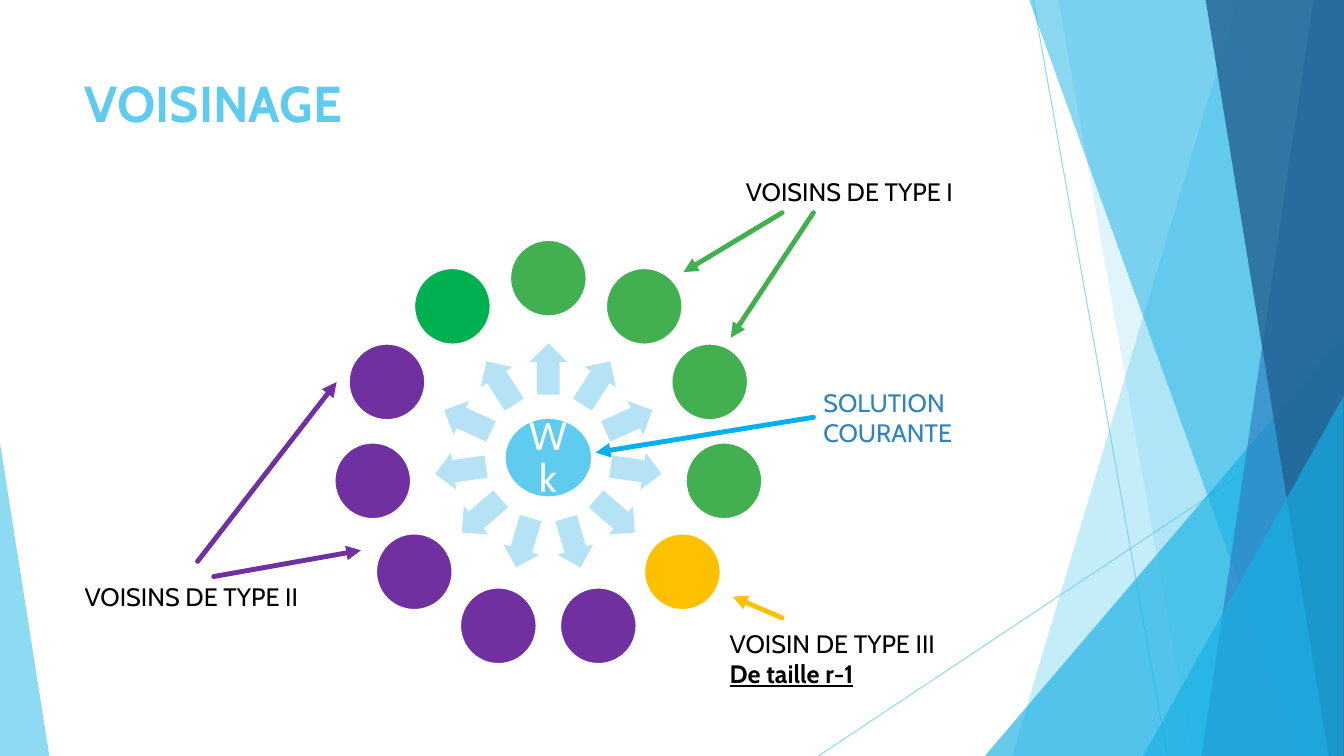
from dataclasses import dataclass
from math import cos, radians, sin

from lxml.etree import SubElement
from pptx import Presentation
from pptx.dml.color import RGBColor
from pptx.enum.shapes import MSO_CONNECTOR, MSO_SHAPE
from pptx.enum.text import MSO_ANCHOR, MSO_AUTO_SIZE, PP_ALIGN
from pptx.oxml.ns import qn
from pptx.shapes.autoshape import Shape
from pptx.slide import Slide
from pptx.text.text import TextFrame, _Paragraph as Paragraph
from pptx.util import Emu, Inches, Pt

FONT = "Cabin"
COLUMNS, ROWS = 133.33, 75
SLIDE_WIDTH, SLIDE_HEIGHT = Inches(13.33), Inches(7.5)
COLORS = {
    "white": "FFFFFF", "black": "000000", "sky": "5FCBEF", "cyan": "17B0E4",
    "blue": "2E83C3", "navy": "226292", "pale": "B6E2F6", "azure": "00B0F0",
    "green": "42B051", "emerald": "00B050", "amber": "FFC000", "purple": "7030A0",
}
Point = tuple[float, float]


@dataclass(frozen=True)
class Pane:
    corners: tuple[Point, ...]
    color: str
    opacity: int


@dataclass(frozen=True)
class Wedge:
    box: tuple[float, float, float, float]
    apex: float
    color: str
    opacity: int


@dataclass(frozen=True)
class Pointer:
    start: Point
    end: Point
    color: str


@dataclass(frozen=True)
class Label:
    box: tuple[float, float, float, float]
    lines: tuple[str, ...]
    color: str = "black"


RAYS = (
    Pointer((102.5, 0), (115.8, ROWS), "sky"),
    Pointer((COLUMNS, 40.3), (81.2, ROWS), "sky"),
)
FACETS = (
    Pane(((122.8, 0), (COLUMNS, 0), (COLUMNS, ROWS), (100.4, ROWS)), "sky", 36),
    Pane(((105, 0), (COLUMNS, 0), (COLUMNS, ROWS), (118.3, ROWS)), "sky", 20),
    Wedge((97.7, 33.3, 35.6, 41.7), 1, "cyan", 66),
    Pane(((102.1, 0), (COLUMNS, 0), (COLUMNS, ROWS), (129.1, ROWS)), "cyan", 50),
    Pane(((130.3, 0), (COLUMNS, 0), (COLUMNS, ROWS), (119.2, ROWS)), "blue", 70),
    Pane(((119.6, 0), (COLUMNS, 0), (COLUMNS, ROWS), (131.8, ROWS)), "navy", 80),
    Wedge((113.4, 39.3, 19.9, 35.7), 1, "cyan", 66),
    Wedge((0, 43.9, 4.9, 31.1), 0, "sky", 70),
)
NEIGHBOURS = ["green"] * 4 + ["amber"] + ["purple"] * 5 + ["emerald"]
LABELS = (
    Label((73, 17, 24.3, 4), ("VOISINS DE TYPE I",)),
    Label((71.4, 61.8, 24.3, 7.1), ("VOISIN DE TYPE III", "De taille r-1")),
    Label((7.4, 57.2, 24.3, 4), ("VOISINS DE TYPE II",)),
    Label((80.7, 37.9, 16.2, 7.1), ("SOLUTION COURANTE",), "blue"),
)
POINTERS = (
    Pointer((77.6, 21.1), (67.8, 27), "green"),
    Pointer((80.7, 21.1), (72.5, 33.5), "green"),
    Pointer((77.6, 61.3), (72.7, 59.2), "amber"),
    Pointer((19.6, 55.7), (33.4, 37.9), "purple"),
    Pointer((21.2, 57.2), (35.8, 54.6), "purple"),
    Pointer((80.7, 41.4), (59.1, 44.9), "azure"),
)


def rgb(name: str) -> RGBColor:
    return RGBColor.from_string(COLORS[name])


def column(count: float) -> Emu:
    return Emu(round(SLIDE_WIDTH * count / COLUMNS))


def row(count: float) -> Emu:
    return Emu(round(SLIDE_HEIGHT * count / ROWS))


def place(left: float, top: float, width: float, height: float) -> tuple[Emu, ...]:
    return column(left), row(top), column(width), row(height)


def set_opacity(shape: Shape, percent: int) -> None:
    for color in shape._element.spPr.iter(qn("a:srgbClr")):
        SubElement(color, qn("a:alpha"), val=str(percent * 1000))


def paint(shape: Shape, color: str, outlined: bool = False) -> None:
    shape.shadow.inherit = False
    shape.fill.solid()
    shape.fill.fore_color.rgb = rgb(color)
    if outlined:
        shape.line.color.rgb = rgb("white")
        shape.line.width = Pt(1.5)
    else:
        shape.line.fill.background()


def write(paragraph: Paragraph, text: str, size: int, color: str,
          bold: bool = False, underline: bool = False) -> None:
    run = paragraph.add_run()
    run.text = text
    run.font.name = FONT
    run.font.size = Pt(size)
    run.font.color.rgb = rgb(color)
    run.font.bold = bold
    run.font.underline = underline


def draw_facet(slide: Slide, facet: Pane | Wedge) -> None:
    if isinstance(facet, Wedge):
        shape = slide.shapes.add_shape(MSO_SHAPE.ISOSCELES_TRIANGLE, *place(*facet.box))
        shape.adjustments[0] = facet.apex
    else:
        first, *others = [(column(x), row(y)) for x, y in facet.corners]
        outline = slide.shapes.build_freeform(*first)
        outline.add_line_segments(others, close=True)
        shape = outline.convert_to_shape()
    paint(shape, facet.color)
    set_opacity(shape, facet.opacity)


def draw_line(slide: Slide, pointer: Pointer, width: float, arrow: bool) -> None:
    (x1, y1), (x2, y2) = pointer.start, pointer.end
    line = slide.shapes.add_connector(
        MSO_CONNECTOR.STRAIGHT, column(x1), row(y1), column(x2), row(y2))
    line.line.color.rgb = rgb(pointer.color)
    line.line.width = Pt(width)
    if arrow:
        stroke = line.line._get_or_add_ln()
        stroke.set("cap", "rnd")
        SubElement(stroke, qn("a:tailEnd"), type="triangle")
    else:
        set_opacity(line, 70)
    SubElement(line._element.spPr, qn("a:effectLst"))


def draw_centred(slide: Slide, kind: MSO_SHAPE, center: Point, size: Point) -> Shape:
    (x, y), (width, height) = center, size
    return slide.shapes.add_shape(
        kind, *place(x - width / 2, y - height / 2, width, height))


def on_ring(center: Point, radius: float, angle: float) -> Point:
    return (center[0] + radius * sin(radians(angle)),
            center[1] - radius * cos(radians(angle)))


def draw_neighbourhood(slide: Slide) -> None:
    solution = draw_centred(slide, MSO_SHAPE.OVAL, (54.4, 45.4), (8.7, 7.9))
    paint(solution, "sky", outlined=True)
    frame = add_text(slide, (51.3, 42.7, 6.1, 5.6))
    frame.vertical_anchor = MSO_ANCHOR.MIDDLE
    frame.margin_left = frame.margin_right = Inches(0.04)
    frame.margin_top = frame.margin_bottom = Inches(0.04)
    paragraph = frame.paragraphs[0]
    paragraph.alignment = PP_ALIGN.CENTER
    paragraph.line_spacing = 0.9
    write(paragraph, "Wk", 28, "white")
    for index, color in enumerate(NEIGHBOURS):
        angle = index * 360 / len(NEIGHBOURS)
        spoke = draw_centred(slide, MSO_SHAPE.RIGHT_ARROW,
                             on_ring((54.4, 45.4), 8.8, angle), (5.1, 3.7))
        spoke.adjustments[0] = 0.6
        spoke.rotation = (angle - 90) % 360
        paint(spoke, "pale")
        neighbour = draw_centred(slide, MSO_SHAPE.OVAL,
                                 on_ring((54.4, 45.2), 17.6, angle), (7.6, 7.6))
        paint(neighbour, color, outlined=True)


def add_text(slide: Slide, box: tuple[float, float, float, float]) -> TextFrame:
    frame = slide.shapes.add_textbox(*place(*box)).text_frame
    frame.word_wrap = True
    return frame


def draw_label(slide: Slide, label: Label) -> None:
    frame = add_text(slide, label.box)
    frame.auto_size = MSO_AUTO_SIZE.SHAPE_TO_FIT_TEXT
    for index, text in enumerate(label.lines):
        paragraph = frame.add_paragraph() if index else frame.paragraphs[0]
        write(paragraph, text, 18, label.color, bold=index > 0, underline=index > 0)


def draw_title(slide: Slide) -> None:
    title = slide.shapes.title
    title.left, title.top, title.width, title.height = place(7.4, 6.7, 94, 14.4)
    title.text_frame.vertical_anchor = MSO_ANCHOR.TOP
    paragraph = title.text_frame.paragraphs[0]
    paragraph.alignment = PP_ALIGN.LEFT
    write(paragraph, "VOISINAGE", 36, "sky", bold=True)


def main() -> None:
    deck = Presentation()
    deck.slide_width, deck.slide_height = SLIDE_WIDTH, SLIDE_HEIGHT
    slide = deck.slides.add_slide(deck.slide_layouts.get_by_name("Title Only"))
    for ray in RAYS:
        draw_line(slide, ray, 0.75, arrow=False)
    for facet in FACETS:
        draw_facet(slide, facet)
    draw_title(slide)
    draw_neighbourhood(slide)
    for label in LABELS:
        draw_label(slide, label)
    for pointer in POINTERS:
        draw_line(slide, pointer, 3.5, arrow=True)
    deck.save("out.pptx")


if __name__ == "__main__":
    main()
